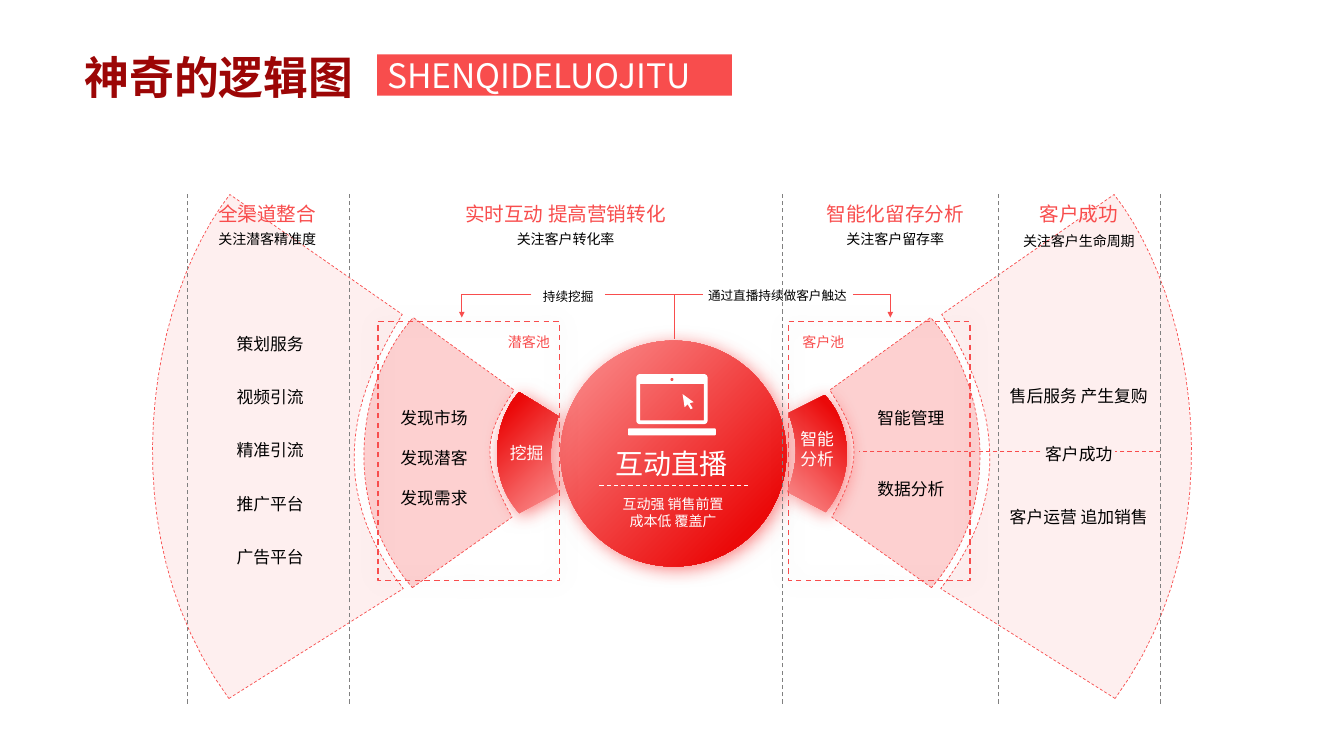
from lxml import etree
from pptx import Presentation
from pptx.dml.color import RGBColor
from pptx.enum.dml import MSO_LINE
from pptx.enum.shapes import MSO_CONNECTOR, MSO_SHAPE
from pptx.enum.text import MSO_ANCHOR, PP_ALIGN
from pptx.oxml.ns import qn
from pptx.util import Inches, Pt

DASH = MSO_LINE.DASH
LINE = MSO_CONNECTOR.STRAIGHT
RECT, ROUND, OVAL = MSO_SHAPE.RECTANGLE, MSO_SHAPE.ROUNDED_RECTANGLE, MSO_SHAPE.OVAL
TOP, MID, LOW = MSO_ANCHOR.TOP, MSO_ANCHOR.MIDDLE, MSO_ANCHOR.BOTTOM
LEFT, CENTER, JUST = PP_ALIGN.LEFT, PP_ALIGN.CENTER, PP_ALIGN.JUSTIFY
SC, JP = "Noto Sans CJK SC", "Noto Sans CJK JP"
RED, WHITE, BLACK, GREY = "F84D4D", "FFFFFF", "000000", "808080"
rgb = RGBColor.from_string

deck = Presentation()
deck.slide_width, deck.slide_height = Inches(13.33), Inches(7.5)
shapes = deck.slides.add_slide(deck.slide_layouts[6]).shapes


def text(x, y, w, h, rows, size, color, font=JP, anchor=TOP, pad=0,
         lead=1.25, align=CENTER, gap=0):
    box = shapes.add_textbox(Inches(x), Inches(y), Inches(w), Inches(h))
    frame = box.text_frame
    frame.word_wrap = True
    frame.vertical_anchor = anchor
    frame.margin_left = frame.margin_right = Inches(pad)
    frame.margin_top = frame.margin_bottom = Inches(pad / 2)
    for i, row in enumerate(rows):
        para = frame.add_paragraph() if i else frame.paragraphs[0]
        para.alignment = align
        para.line_spacing = Pt(size * lead)
        if i and gap:
            para.space_before = Pt(gap)
        run = para.add_run()
        run.text = row
        run.font.size = Pt(size)
        run.font.name = font
        run.font.color.rgb = rgb(color)
        east = etree.SubElement(run.font._element, qn("a:ea"))
        east.set("typeface", font)
    return frame


def paint(part, stops, angle):
    part.gradient()
    part.gradient_angle = angle
    for stop, (place, color) in zip(part.gradient_stops, stops):
        stop.position = place
        stop.color.rgb = rgb(color)


glow = [(0, "FB9494"), (0.84, "EB0909")]
disc = shapes.add_shape(OVAL, Inches(5.56), Inches(3.38), Inches(2.24), Inches(2.24))
disc.line.fill.background()
paint(disc.fill, glow, 315)
shades = [(disc, RED, 70, 13, 3)]

mid = [(9.24, 5.83), (8.25, 5.13), (8.59, 4.53), (8.5, 4.28), (8.23, 3.87),
       (9.23, 3.15), (9.74, 3.7), (10.01, 4.94)]
outer = [(11.06, 6.93), (9.33, 5.84), (10.12, 4.82), (9.82, 3.9), (9.34, 3.12),
         (11.05, 1.93), (11.85, 2.95), (12.27, 5.28)]
near = [(8.19, 5.08), (7.81, 4.88), (7.91, 4.61), (7.93, 4.39), (7.82, 4.1),
        (8.18, 3.92), (8.42, 4.17), (8.52, 4.68)]
near2 = [(5.15, 5.09), (5.54, 4.88), (5.43, 4.61), (5.44, 4.42), (5.54, 4.13),
         (5.15, 3.89), (4.92, 4.13), (4.8, 4.7)]
fans = [(near, None, 45), (near2, None, 135)]
for pts, color in [(mid, "FB9494"), (outer, "FEDBDB")]:
    fans += [(pts, color, 0), ([(13.33 - x, y) for x, y in pts], color, 0)]

for pts, color, angle in fans:
    edge = [pts[0]]
    for curve in (pts[1:5], pts[5:] + pts[:1]):
        for i in range(25):
            t = i / 24
            mix = [(1 - t) ** 3, 3 * t * (1 - t) ** 2, 3 * t * t * (1 - t), t ** 3]
            edge.append([sum(m * p[k] for m, p in zip(mix, curve)) for k in (0, 1)])
    edge = [(Inches(x), Inches(y)) for x, y in edge]
    pen = shapes.build_freeform(*edge[0])
    pen.add_line_segments(edge[1:], close=True)
    fan = pen.convert_to_shape()
    fan.shadow.inherit = False
    if color is None:
        paint(fan.fill, glow, angle)
        fan.line.fill.background()
        shades.append((fan, RED, 70, 13, 3))
        continue
    fan.fill.solid()
    fan.fill.fore_color.rgb = rgb(color)
    tint = fan._element.spPr.find(qn("a:solidFill"))[0]
    etree.SubElement(tint, qn("a:alpha")).set("val", "43000")
    fan.line.color.rgb = rgb(RED)
    fan.line.width = Pt(0.5)
    fan.line.dash_style = DASH

for x in (3.75, 7.82):
    pool = shapes.add_shape(RECT, Inches(x), Inches(3.19), Inches(1.8), Inches(2.57))
    pool.fill.background()
    pool.line.color.rgb = rgb(RED)
    pool.line.width = Pt(1)
    pool.line.dash_style = DASH
    shades.append((pool, BLACK, 20, 15, 0))

for shape, color, alpha, blur, dist in shades:
    shape.shadow.inherit = False
    drop = etree.SubElement(shape._element.spPr.find(qn("a:effectLst")), qn("a:outerShdw"))
    drop.set("blurRad", str(Pt(blur)))
    drop.set("dist", str(Pt(dist)))
    drop.set("dir", "2700000")
    drop.set("algn", "ctr")
    drop.set("rotWithShape", "0")
    tint = etree.SubElement(drop, qn("a:srgbClr"))
    tint.set("val", color)
    etree.SubElement(tint, qn("a:alpha")).set("val", str(alpha * 1000))

wires = [
    (7.42, 4.82, 5.94, 4.82, WHITE, True, False),
    (10.32, 4.48, 8.52, 4.48, RED, True, False),
    (11.51, 4.48, 11.06, 4.48, RED, True, False),
    (6.69, 3.36, 6.69, 2.92, RED, False, False),
    (6, 2.92, 6.97, 2.92, RED, False, False),
    (5.27, 2.92, 4.58, 2.92, RED, False, False),
    (8.46, 2.92, 8.83, 2.92, RED, False, False),
    (4.58, 3.15, 4.58, 2.92, RED, False, True),
    (8.83, 3.15, 8.83, 2.92, RED, False, True),
]
wires += [(x, 6.98, x, 1.92, GREY, True, False) for x in (1.86, 3.47, 7.76, 9.9, 11.51)]
for x1, y1, x2, y2, color, dash, head in wires:
    wire = shapes.add_connector(LINE, Inches(x1), Inches(y1), Inches(x2), Inches(y2))
    wire.line.color.rgb = rgb(color)
    wire.line.width = Pt(0.75)
    if dash:
        wire.line.dash_style = DASH
    if head:
        tip = etree.SubElement(wire._element.spPr.find(qn("a:ln")), qn("a:headEnd"))
        tip.set("type", "triangle")
        tip.set("w", "sm")
        tip.set("len", "sm")
    etree.SubElement(wire._element.spPr, qn("a:effectLst"))

heads = [
    (2.65, "全渠道整合", "关注潜客精准度", 2.2),
    (5.61, "实时互动 提高营销转化", "关注客户转化率", 2.2),
    (8.88, "智能化留存分析", "关注客户留存率", 2.2),
    (10.7, "客户成功", "关注客户生命周期", 2.22),
]
for x, name, note, y in heads:
    text(x - 1.2, 1.95, 2.4, 0.33, [name], 14, RED, SC, MID, 0.03)
    text(x - 1.2, y, 2.4, 0.33, [note], 10, BLACK, JP, MID, 0.03)
text(5.24, 2.77, 0.79, 0.33, ["持续挖掘"], 9, BLACK, JP, MID, 0.03)
text(6.73, 2.76, 1.96, 0.33, ["通过直播持续做客户触达"], 9, BLACK, JP, MID, 0.03)

for x, name in [(4.95, "潜客池"), (7.87, "客户池")]:
    text(x, 3.25, 0.59, 0.2, [name], 10, RED, lead=1.6)
for i, name in enumerate(["策划服务", "视频引流", "精准引流", "推广平台", "广告平台"]):
    text(1.89, 3.24 + 0.53 * i, 1.58, 0.25, [name], 12, BLACK, lead=1.6)
for y, name in [(3.76, "售后服务 产生复购"), (4.34, "客户成功"), (4.96, "客户运营 追加销售")]:
    text(9.91, y, 1.58, 0.25, [name], 12, BLACK, lead=1.6)
for y, name in [(4.04, "智能管理"), (4.74, "数据分析")]:
    text(8.62, y, 0.83, 0.2, [name], 12, BLACK)
text(3.89, 4.04, 0.83, 1.01, ["发现市场", "发现潜客", "发现需求"], 12, BLACK, gap=13.6)
text(5.01, 4.38, 0.43, 0.2, ["挖掘"], 12, WHITE)
text(7.89, 4.25, 0.43, 0.4, ["智能", "分析"], 12, WHITE, lead=1.2)
text(5.9, 4.36, 1.53, 0.4, ["互动直播"], 20, WHITE, SC, LOW)
text(6.04, 4.92, 1.27, 0.34, ["互动强 销售前置", "成本低 覆盖广"], 10, WHITE, lead=1.2)

screen = shapes.add_shape(ROUND, Inches(6.33), Inches(3.73), Inches(0.67), Inches(0.46))
screen.adjustments[0] = 0.04
screen.fill.background()
screen.line.color.rgb = rgb(WHITE)
screen.line.width = Pt(2.7)
screen.shadow.inherit = False

cursor = [(6.77, 3.91), (6.88, 3.99), (6.84, 4), (6.87, 4.05), (6.85, 4.06),
          (6.82, 4.01), (6.79, 4.04)]
cursor = [(Inches(x), Inches(y)) for x, y in cursor]
pen = shapes.build_freeform(*cursor[0])
pen.add_line_segments(cursor[1:], close=True)
solids = [(pen.convert_to_shape(), WHITE)]
for kind, x, y, w, h, color in [
    (RECT, 6.33, 3.73, 0.68, 0.08, WHITE),
    (OVAL, 6.65, 3.75, 0.03, 0.03, "F25050"),
    (ROUND, 6.23, 4.25, 0.87, 0.07, WHITE),
    (RECT, 3.74, 0.54, 3.52, 0.41, RED),
]:
    solids.append((shapes.add_shape(kind, Inches(x), Inches(y), Inches(w), Inches(h)), color))
for solid, color in solids:
    solid.fill.solid()
    solid.fill.fore_color.rgb = rgb(color)
    solid.line.fill.background()
    solid.shadow.inherit = False

title = text(0.74, 0.42, 3.47, 0.64, ["神奇的逻辑图"], 32, RED, SC, pad=0.1, align=LEFT)
font = title.paragraphs[0].runs[0].font
font.bold = True
paint(font.fill, [(0, "9C0606"), (1, RED)], 135)
text(3.74, 0.49, 3.52, 0.5, ["SHENQIDELUOJITU"], 24, WHITE, JP, MID, 0.1, align=JUST)

deck.save("out.pptx")
